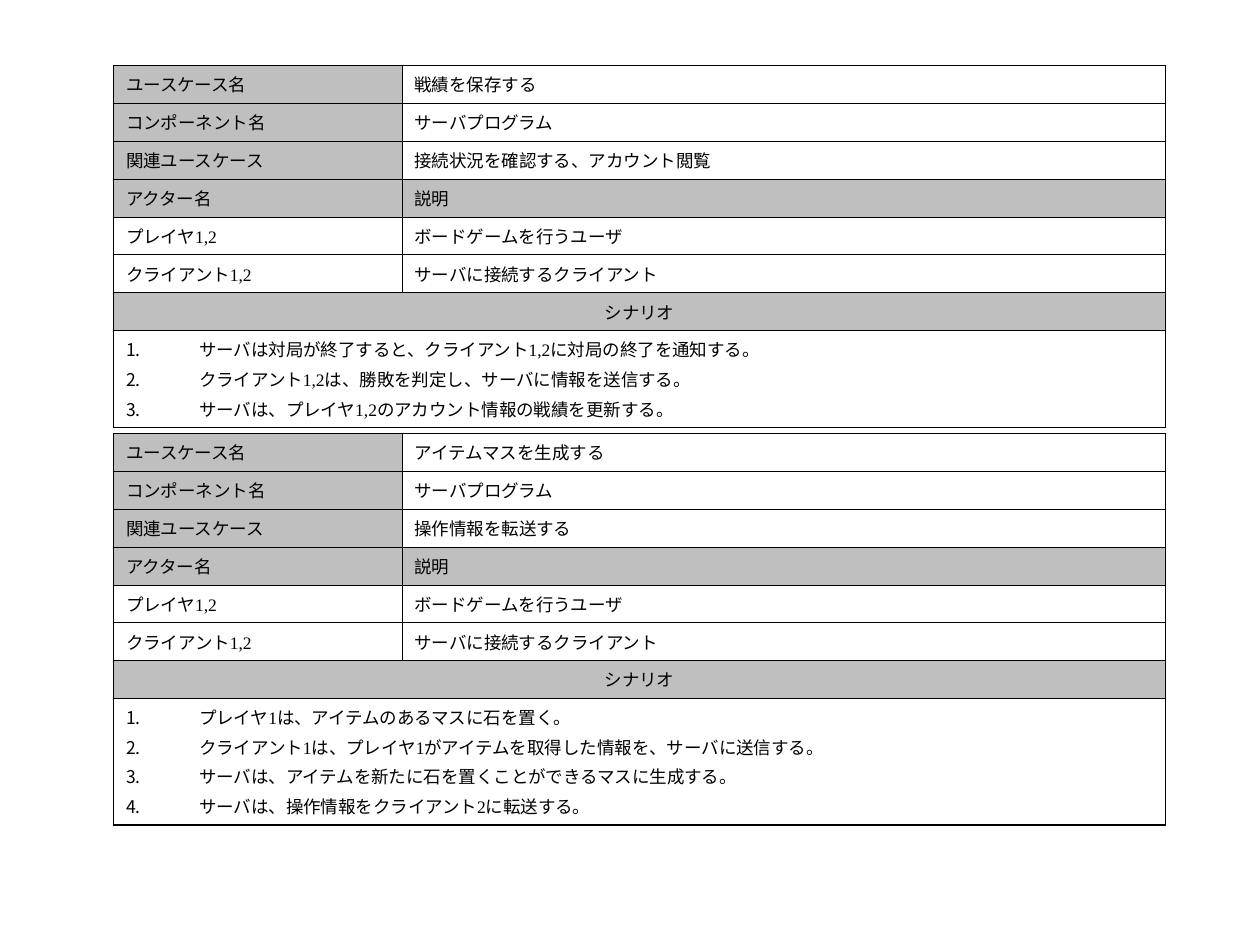
from dataclasses import dataclass

from lxml.etree import SubElement
from pptx import Presentation
from pptx.dml.color import RGBColor
from pptx.enum.text import PP_ALIGN as Align
from pptx.oxml.ns import qn
from pptx.util import Inches, Pt


@dataclass(frozen=True)
class Theme:
    font: str = "Times New Roman"
    size: float = 10
    space_before: float = 2.5
    ink: str = "000000"
    heading_fill: str = "BFBFBF"
    body_fill: str = "FFFFFF"
    outer_line: float = 1.08
    inner_line: float = 0.45


@dataclass(frozen=True)
class UseCase:
    top: float
    name: str
    related: str
    steps: tuple[str, ...]
    scenario_height: float


THEME = Theme()
LEFT = 0.9
COLUMN_WIDTHS = (2.29, 6.06)
ROW_HEIGHT = 0.3
ACTOR_HEADER_ROW = 3
STEP_INDENT = 0.58

USE_CASES = (
    UseCase(0.52, "戦績を保存する", "接続状況を確認する、アカウント閲覧", (
        "サーバは対局が終了すると、クライアント1,2に対局の終了を通知する。",
        "クライアント1,2は、勝敗を判定し、サーバに情報を送信する。",
        "サーバは、プレイヤ1,2のアカウント情報の戦績を更新する。",
    ), 0.77),
    UseCase(3.44, "アイテムマスを生成する", "操作情報を転送する", (
        "プレイヤ1は、アイテムのあるマスに石を置く。",
        "クライアント1は、プレイヤ1がアイテムを取得した情報を、サーバに送信する。",
        "サーバは、アイテムを新たに石を置くことができるマスに生成する。",
        "サーバは、操作情報をクライアント2に転送する。",
    ), 1),
)


def write_lines(cell, *lines: str, align=Align.LEFT, numbered: bool = False) -> None:
    frame = cell.text_frame
    for index, line in enumerate(lines):
        paragraph = frame.add_paragraph() if index else frame.paragraphs[0]
        paragraph.alignment = align
        paragraph.space_before = Pt(THEME.space_before)
        run = paragraph.add_run()
        run.text = line
        run.font.name = THEME.font
        run.font.size = Pt(THEME.size)
        run.font.color.rgb = RGBColor.from_string(THEME.ink)
        if numbered:
            number_paragraph(paragraph)


def number_paragraph(paragraph) -> None:
    properties = paragraph._p.get_or_add_pPr()
    properties.set("marL", str(Inches(STEP_INDENT)))
    properties.set("indent", str(-Inches(STEP_INDENT)))
    bullet_color = SubElement(properties, qn("a:buClr"))
    SubElement(bullet_color, qn("a:srgbClr"), val=THEME.ink)
    SubElement(properties, qn("a:buAutoNum"), type="arabicPeriod")


def style_cell(cell, fill: str, outer_sides: str) -> None:
    """Fill the cell and rule it, with a heavier line on the sides named in outer_sides."""
    properties = cell._tc.get_or_add_tcPr()
    for side in "LRTB":
        width = THEME.outer_line if side in outer_sides else THEME.inner_line
        line = SubElement(properties, qn(f"a:ln{side}"), w=str(Pt(width)))
        line_fill = SubElement(line, qn("a:solidFill"))
        SubElement(line_fill, qn("a:srgbClr"), val=THEME.ink)
    cell.fill.solid()
    cell.fill.fore_color.rgb = RGBColor.from_string(fill)


def add_use_case(slide, case: UseCase) -> None:
    fields = (
        ("ユースケース名", case.name),
        ("コンポーネント名", "サーバプログラム"),
        ("関連ユースケース", case.related),
        ("アクター名", "説明"),
        ("プレイヤ1,2", "ボードゲームを行うユーザ"),
        ("クライアント1,2", "サーバに接続するクライアント"),
    )
    title_row = len(fields)
    steps_row = title_row + 1
    heights = [ROW_HEIGHT] * steps_row + [case.scenario_height]
    table = slide.shapes.add_table(
        len(heights), len(COLUMN_WIDTHS), Inches(LEFT), Inches(case.top),
        Inches(sum(COLUMN_WIDTHS)), Inches(sum(heights))).table
    table.first_row = table.horz_banding = False
    for column, width in zip(table.columns, COLUMN_WIDTHS):
        column.width = Inches(width)

    for row, height in enumerate(heights):
        table.rows[row].height = Inches(height)
        merged = row >= title_row
        for column in range(len(COLUMN_WIDTHS)):
            is_heading = (row in (ACTOR_HEADER_ROW, title_row)
                          or row < ACTOR_HEADER_ROW and column == 0)
            outer_sides = "LR" if merged else "LR"[column]
            outer_sides += "T" if row == 0 else "B" if row == steps_row else ""
            style_cell(table.cell(row, column),
                       THEME.heading_fill if is_heading else THEME.body_fill,
                       outer_sides)
        if merged:
            table.cell(row, 0).merge(table.cell(row, 1))

    for row, (label, value) in enumerate(fields):
        write_lines(table.cell(row, 0), label)
        write_lines(table.cell(row, 1), value)
    write_lines(table.cell(title_row, 0), "シナリオ", align=Align.CENTER)
    write_lines(table.cell(steps_row, 0), *case.steps, numbered=True)


def main() -> None:
    deck = Presentation()
    deck.slide_width, deck.slide_height = Inches(10), Inches(7.5)
    slide = deck.slides.add_slide(deck.slide_layouts[6])
    for case in USE_CASES:
        add_use_case(slide, case)
    deck.save("out.pptx")


if __name__ == "__main__":
    main()
